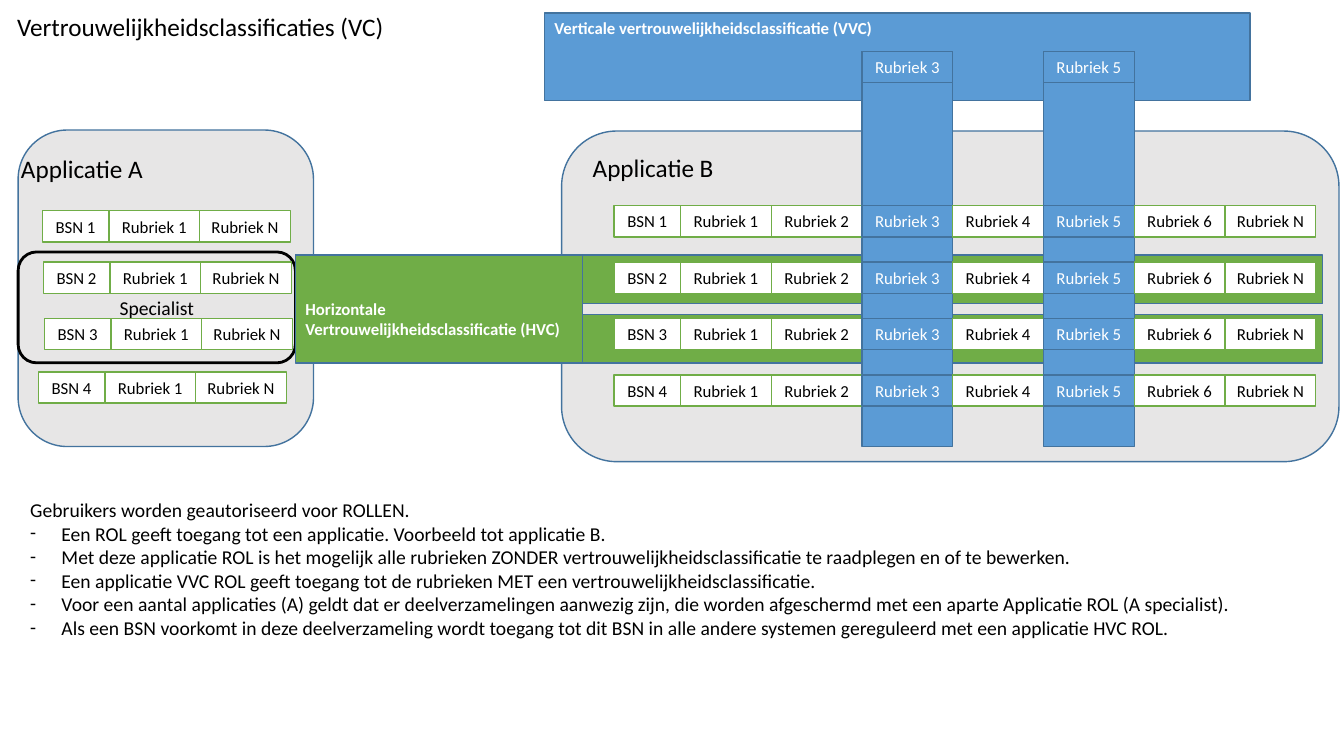
import pptx
import pptx.util
import pptx.dml.color
import pptx.enum.shapes
import pptx.enum.text
import lxml.etree

Inches = pptx.util.Inches
Pt = pptx.util.Pt
RGBColor = pptx.dml.color.RGBColor
SHAPE = pptx.enum.shapes.MSO_SHAPE
ALIGN = pptx.enum.text.PP_ALIGN
ANCHOR = pptx.enum.text.MSO_ANCHOR
FIT = pptx.enum.text.MSO_AUTO_SIZE

WHITE = RGBColor(0xFF, 0xFF, 0xFF)
BLACK = RGBColor(0, 0, 0)
GRAY = RGBColor(0xE7, 0xE6, 0xE6)
GREEN = RGBColor(0x70, 0xAD, 0x47)
BLUE = RGBColor(0x5B, 0x9B, 0xD5)
NAVY = RGBColor(0x43, 0x73, 0x9E)

FONT = "Calibri"
BSN_W, COL_W, ROW_H = 0.66, 0.9, 0.31
SECRET = ("Rubriek 3", "Rubriek 5")
SHORT = ["Rubriek 1", "Rubriek N"]
LONG = [f"Rubriek {n}" for n in [*range(1, 7), "N"]]

INTRO = "Gebruikers worden geautoriseerd voor ROLLEN."
RULES = [
    "Een ROL geeft toegang tot een applicatie. Voorbeeld tot applicatie B.",
    "Met deze applicatie ROL is het mogelijk alle rubrieken ZONDER "
    "vertrouwelijkheidsclassificatie te raadplegen en of te bewerken.",
    "Een applicatie VVC ROL geeft toegang tot de rubrieken MET een "
    "vertrouwelijkheidsclassificatie.",
    "Voor een aantal applicaties (A) geldt dat er deelverzamelingen aanwezig "
    "zijn, die worden afgeschermd met een aparte Applicatie ROL (A specialist).",
    "Als een BSN voorkomt in deze deelverzameling wordt toegang tot dit BSN in "
    "alle andere systemen gereguleerd met een applicatie HVC ROL.",
]


def style(frame, size, color, bold=False, align=ALIGN.LEFT):
    for para in frame.paragraphs:
        para.alignment = align
        for run in para.runs:
            run.font.name = FONT
            run.font.size = Pt(size)
            run.font.bold = bold
            run.font.color.rgb = color


def place(shape, x, y, w, h):
    shape.left, shape.top = Inches(x), Inches(y)
    shape.width, shape.height = Inches(w), Inches(h)


def box(slide, x, y, w, h, fill, line=NAVY, kind=SHAPE.RECTANGLE, width=1):
    shape = slide.shapes.add_shape(
        kind, Inches(x), Inches(y), Inches(w), Inches(h))
    shape.shadow.inherit = False
    shape.fill.solid()
    shape.fill.fore_color.rgb = fill
    shape.line.color.rgb = line
    shape.line.width = Pt(width)
    return shape


def write(shape, text, size, color, bold=False, align=ALIGN.CENTER,
          anchor=ANCHOR.MIDDLE):
    frame = shape.text_frame
    frame.word_wrap = True
    frame.vertical_anchor = anchor
    frame.text = text
    style(frame, size, color, bold, align)


def cell(slide, x, y, w, text):
    secret = text in SECRET
    shape = box(slide, x, y, w, ROW_H, BLUE if secret else WHITE,
                NAVY if secret else GREEN)
    write(shape, text, 12, WHITE if secret else BLACK)


def record(slide, x, y, num, names):
    cell(slide, x, y, BSN_W, f"BSN {num}")
    for i, name in enumerate(names):
        cell(slide, x + BSN_W + i * COL_W, y, COL_W, name)


def label(slide, x, y, text):
    shape = slide.shapes.add_textbox(
        Inches(x), Inches(y), Inches(1.42), Inches(0.4))
    frame = shape.text_frame
    frame.word_wrap = False
    frame.text = text
    style(frame, 18, BLACK)


def bullet(para, char=None):
    props = para._p.get_or_add_pPr()
    depth = Inches(0.31) if char else 0
    props.set("marL", str(depth))
    props.set("indent", str(-depth))
    tags = [("buFont", "typeface", FONT), ("buChar", "char", char)]
    for tag, key, value in tags if char else [("buNone", None, None)]:
        item = lxml.etree.SubElement(props, pptx.oxml.ns.qn(f"a:{tag}"))
        if key:
            item.set(key, value)


def title(slide):
    shape = slide.shapes.title
    place(shape, 0.07, 0.06, 3.88, 0.71)
    write(shape, "Vertrouwelijkheidsclassificaties (VC)", 18, BLACK,
          align=ALIGN.LEFT, anchor=ANCHOR.TOP)
    shape.text_frame.auto_size = FIT.NONE


def notes(slide):
    shape = slide.placeholders[1]
    place(shape, 0.2, 4.89, 12.22, 1.51)
    write(shape, "\n".join([INTRO, *RULES]), 14, BLACK,
          align=ALIGN.LEFT, anchor=ANCHOR.TOP)
    shape.text_frame.auto_size = FIT.NONE
    for i, para in enumerate(shape.text_frame.paragraphs):
        para.space_before = Pt(0)
        bullet(para, "-" if i else None)


def main():
    deck = pptx.Presentation()
    deck.slide_width, deck.slide_height = Inches(13.33), Inches(7.5)
    slide = deck.slides.add_slide(deck.slide_layouts[1])
    title(slide)
    notes(slide)

    # Application panels
    rounded = SHAPE.ROUNDED_RECTANGLE
    box(slide, 0.18, 1.29, 2.93, 3.14, GRAY, kind=rounded)
    group = box(slide, 0.18, 2.5, 2.75, 1.1, GRAY, BLACK, rounded, 2)
    write(group, "Specialist", 14, BLACK)
    box(slide, 5.57, 1.3, 7.71, 3.28, GRAY, kind=rounded)

    # Horizontal bands
    for y in (3.12, 2.53):
        box(slide, 2.93, y, 10.19, 0.48, GREEN)

    # Vertical classification with its columns
    head = box(slide, 5.4, 0.13, 7, 0.87, BLUE)
    write(head, "Verticale vertrouwelijkheidsclassificatie (VVC)", 12, WHITE,
          True, ALIGN.LEFT, ANCHOR.TOP)
    for x, name in zip((8.55, 10.35), SECRET):
        box(slide, x, 0.51, COL_W, 3.92, BLUE)
        cell(slide, x, 0.51, COL_W, name)

    # Records of application B
    for i in range(4):
        record(slide, 6.09, 2.04 + i * 0.56, i + 1, LONG)

    # Horizontal classification
    side = box(slide, 2.93, 2.53, 2.85, 1.07, GREEN)
    write(side, "Horizontale\vVertrouwelijkheidsclassificatie (HVC)", 12,
          WHITE, True, ALIGN.LEFT)
    side.text_frame.margin_top = Inches(0.25)

    # Records of application A
    spots = [(0.42, 2.09), (0.43, 2.6), (0.44, 3.16), (0.38, 3.69)]
    for num, (x, y) in enumerate(spots, 1):
        record(slide, x, y, num, SHORT)

    label(slide, 5.78, 1.46, "Applicatie B")
    label(slide, 0.11, 1.47, "Applicatie A")
    deck.save("out.pptx")


if __name__ == "__main__":
    main()
